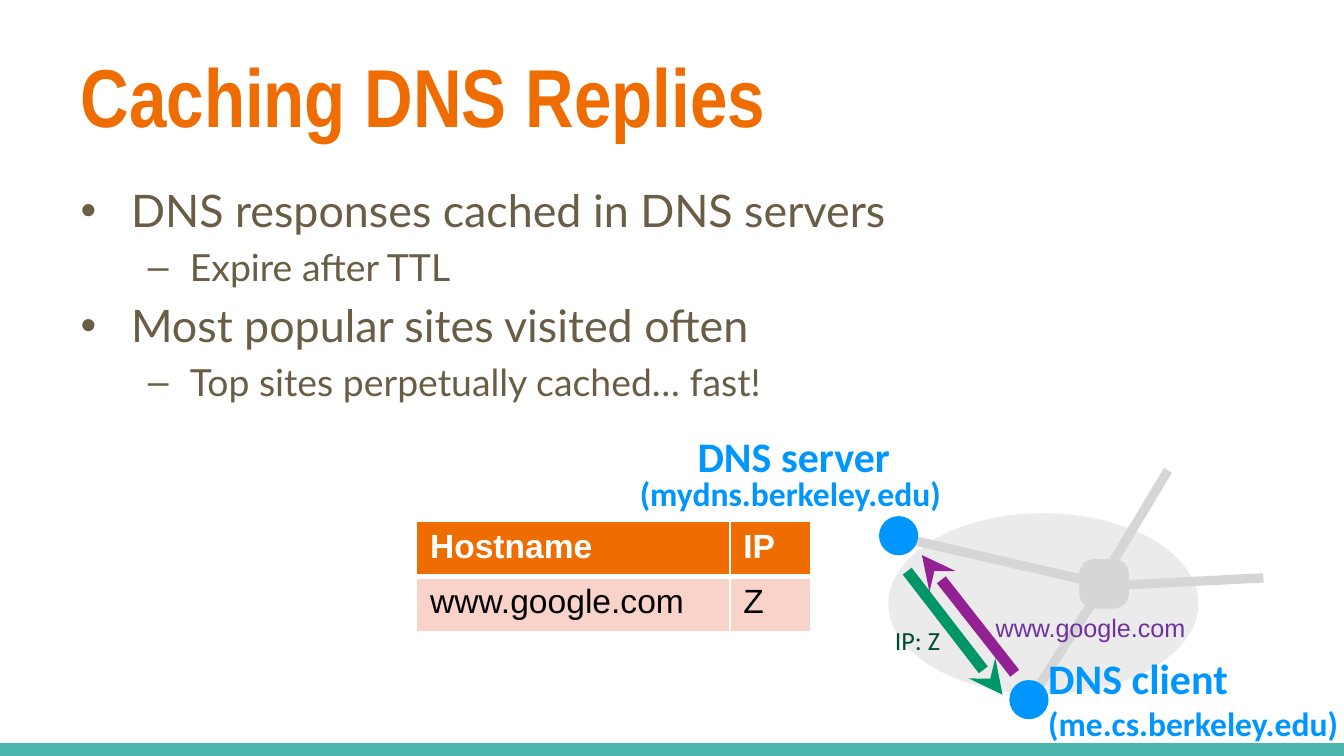
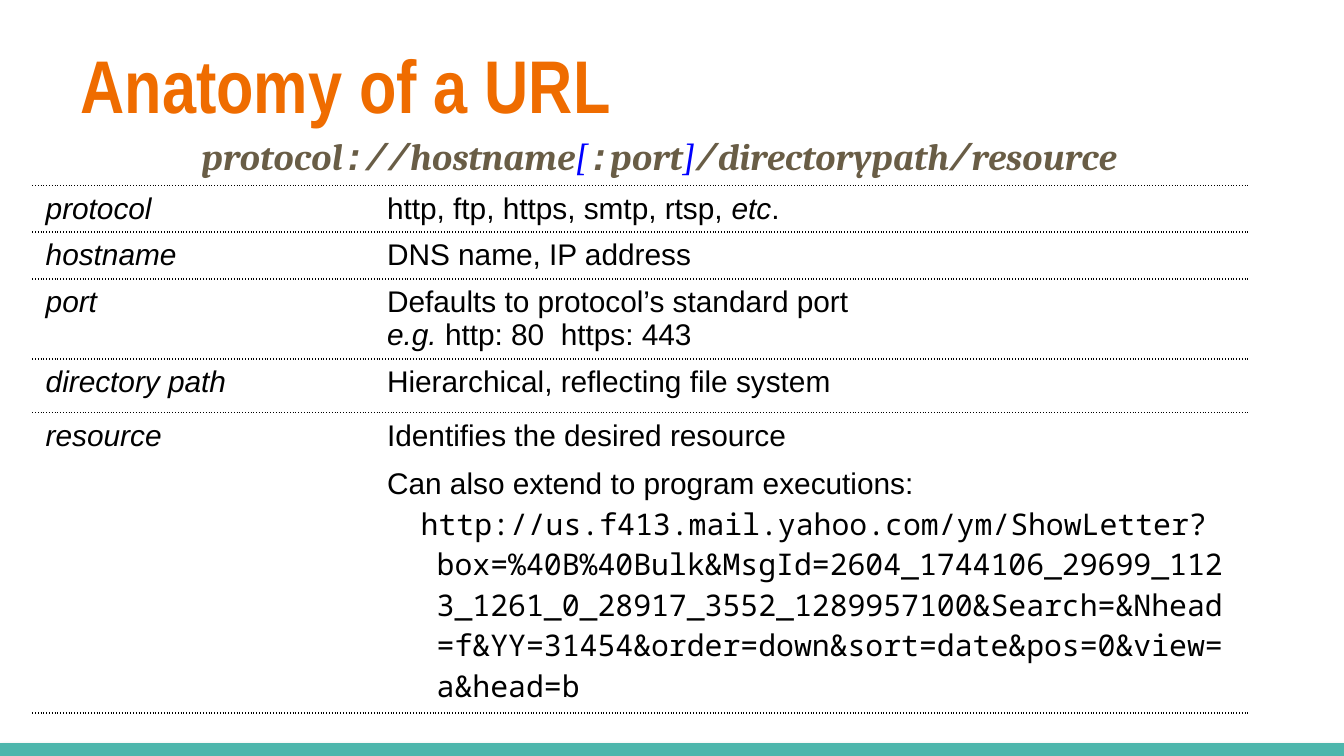
from dataclasses import dataclass
from typing import NamedTuple

from lxml.etree import SubElement
from pptx import Presentation
from pptx.dml.color import RGBColor
from pptx.enum.shapes import MSO_CONNECTOR as Connector, MSO_SHAPE as Shape
from pptx.enum.text import MSO_ANCHOR as Anchor, MSO_AUTO_SIZE as AutoSize, PP_ALIGN as Align
from pptx.oxml.ns import qn
from pptx.util import Pt


@dataclass(frozen=True)
class Theme:
    orange: str = "EF6C00"
    brown: str = "695D46"
    teal: str = "4DB6AC"
    node: str = "0096FF"
    cloud: str = "EBEBEB"
    link: str = "D6D6D6"
    query: str = "942193"
    query_text: str = "7030A0"
    reply: str = "009668"
    reply_text: str = "004B34"
    pink: str = "F9D3CA"
    optional: str = "0000FF"
    black: str = "000000"
    white: str = "FFFFFF"
    title_face: str = "Arial Narrow"
    body_face: str = "Lato"
    label_face: str = "Calibri"
    table_face: str = "Arial"
    code_face: str = "Noto Sans Mono"
    syntax_face: str = "Cambria"
    mark_face: str = "Courier New"
    body_sizes: tuple = (24, 20)
    node_size: float = 22.5
    host_size: float = 18
    reply_size: float = 14
    query_size: float = 13.5
    cache_size: float = 18
    parts_size: float = 16
    syntax_size: float = 20


class Box(NamedTuple):
    left: float
    top: float
    width: float
    height: float

    def inner(self, left, top, width, height):
        return Box(self.left + left, self.top + top, width, height)

    def points(self):
        return [Pt(length) for length in self]


THEME = Theme()
PAGE = Box(0, 0, 720, 405)
WIDE_INSETS = (7.2, 3.6)
TIGHT_INSETS = (2.16, 2.16)


def rgb(color):
    return RGBColor.from_string(color)


def add_span(para, text, face, size, color, bold=False, italic=False):
    """Add one run; a newline in its text becomes a line break."""
    for index, line in enumerate(text.split("\n")):
        if index:
            para.add_line_break()
        if line:
            span = para.add_run()
            span.text = line
            font = span.font
            font.name, font.size = face, Pt(size)
            font.bold, font.italic = bold, italic
            font.color.rgb = rgb(color)


def set_frame(frame, anchor=Anchor.TOP, insets=WIDE_INSETS, wrap=True):
    frame.auto_size = AutoSize.NONE
    frame.word_wrap = wrap
    frame.vertical_anchor = anchor
    frame.margin_left = frame.margin_right = Pt(insets[0])
    frame.margin_top = frame.margin_bottom = Pt(insets[1])


def place(shape, box):
    shape.left, shape.top, shape.width, shape.height = box.points()


def set_indent(para, margin, hanging):
    props = para._p.get_or_add_pPr()
    props.set("marL", str(Pt(margin)))
    props.set("indent", str(-Pt(hanging)))
    return props


def add_label(page, box, spans, anchor=Anchor.TOP, insets=WIDE_INSETS, wrap=True):
    frame = page.shapes.add_textbox(*box.points()).text_frame
    set_frame(frame, anchor, insets, wrap)
    para = frame.paragraphs[0]
    for span in spans:
        add_span(para, *span)
    return para


def add_line(page, start, end, color, width, arrow=False):
    ends = [Pt(length) for length in (*start, *end)]
    line = page.shapes.add_connector(Connector.STRAIGHT, *ends)
    line.line.color.rgb = rgb(color)
    line.line.width = Pt(width)
    props = line.element.spPr
    if arrow:
        SubElement(props.find(qn("a:ln")), qn("a:headEnd"), type="stealth")
    SubElement(props, qn("a:effectLst"))
    return line


def add_solid(page, kind, box, color):
    shape = page.shapes.add_shape(kind, *box.points())
    shape.shadow.inherit = False
    shape.fill.solid()
    shape.fill.fore_color.rgb = rgb(color)
    shape.line.fill.background()
    return shape


def add_master_band(deck, page):
    """Draw the bottom band and move it to the master, so every slide has it."""
    band = add_line(page, (0, 403.2), (PAGE.width, 403.2), THEME.teal, 10)
    effects = band.element.spPr.find(qn("a:effectLst"))
    shadow = SubElement(effects, qn("a:outerShdw"), blurRad=str(Pt(3.1)),
                        dist=str(Pt(1.6)), dir="5400000", rotWithShape="0")
    color = SubElement(shadow, qn("a:srgbClr"), val=THEME.black)
    SubElement(color, qn("a:alpha"), val="38000")
    band.element.xpath("p:nvCxnSpPr/p:cNvPr")[0].set("id", "90")
    deck.slide_master.shapes.element.append(band.element)


def set_title(page, box, text, size):
    title = page.shapes.title
    place(title, box)
    set_frame(title.text_frame, Anchor.MIDDLE)
    para = title.text_frame.paragraphs[0]
    para.alignment = Align.LEFT
    add_span(para, text, THEME.title_face, size, THEME.orange, bold=True)


def set_bullets(page, box, items):
    body = page.placeholders[1]
    place(body, box)
    frame = body.text_frame
    set_frame(frame)
    styles = (("•", 27, 27, 4.8), ("–", 58.5, 22.5, 4))
    for index, (level, text) in enumerate(items):
        mark, margin, hanging, gap = styles[level]
        para = frame.add_paragraph() if index else frame.paragraphs[0]
        para.level = level
        props = set_indent(para, margin, hanging)
        SubElement(SubElement(props, qn("a:buClr")), qn("a:srgbClr"), val=THEME.brown)
        SubElement(props, qn("a:buFont"), typeface="Arial")
        SubElement(props, qn("a:buChar"), char=mark)
        para.space_before = Pt(gap if index else 0)
        add_span(para, text, THEME.body_face, THEME.body_sizes[level], THEME.brown)


def add_grid(page, left, top, columns, rows):
    """Add a plain table with the given column widths and row heights."""
    box = Box(left, top, sum(columns), sum(rows))
    table = page.shapes.add_table(len(rows), len(columns), *box.points()).table
    table.first_row = table.horz_banding = False
    for column, width in zip(table.columns, columns):
        column.width = Pt(width)
    for row, height in zip(table.rows, rows):
        row.height = Pt(height)
    return table


def set_border(cell, sides, color=None, width=1, dash="solid"):
    for side in sides:
        line = SubElement(cell._tc.get_or_add_tcPr(), qn(f"a:ln{side}"), w=str(Pt(width)))
        if color:
            SubElement(SubElement(line, qn("a:solidFill")), qn("a:srgbClr"), val=color)
            SubElement(line, qn("a:prstDash"), val=dash)
        else:
            SubElement(line, qn("a:noFill"))


def add_cache_table(page, left, top):
    rows = (("Hostname", "IP"), ("www.google.com", "Z"))
    looks = ((THEME.orange, THEME.white, True, 3), (THEME.pink, THEME.black, False, 1))
    table = add_grid(page, left, top, (167.8, 43.2), (29.5, 29.5))
    for row, texts, (fill, color, bold, rule) in zip(table.rows, rows, looks):
        for cell, text in zip(row.cells, texts):
            set_border(cell, "LR", THEME.white)
            set_border(cell, "T", THEME.white, 1 if bold else 3)
            set_border(cell, "B", THEME.white, rule)
            cell.fill.solid()
            cell.fill.fore_color.rgb = rgb(fill)
            add_span(cell.text_frame.paragraphs[0], text, THEME.table_face,
                     THEME.cache_size, color, bold)


def add_network(page, box):
    """Draw the cloud, its router and links, and the client's exchange with the server."""
    def at(x, y):
        return box.left + x, box.top + y

    add_solid(page, Shape.OVAL, box.inner(136, 51, 166, 97), THEME.cloud)
    links = (((139.5, 63.3), (249, 88.5)), ((250.4, 90.6), (213, 149)),
             ((285.7, 28), (251.1, 85.6)), ((336.8, 85.6), (251.8, 89.9)))
    for start, end in links:
        add_line(page, at(*start), at(*end), THEME.link, 5)
    router = add_solid(page, Shape.ROUNDED_RECTANGLE,
                       box.inner(238.2, 75.5, 26.6, 26.6), THEME.link)
    router.adjustments[0] = 0.3
    for x, y in ((130.9, 52.5), (200.7, 140.3)):
        add_solid(page, Shape.OVAL, box.inner(x, y, 21, 21), THEME.node)
    add_line(page, at(153.9, 73.4), at(203.6, 136.7), THEME.query, 6, arrow=True)
    add_line(page, at(197.1, 148.2), at(146, 82), THEME.reply, 6, arrow=True)

    def node_span(text, size):
        return text, THEME.label_face, size, THEME.node, True

    node_labels = (
        ((31.5, 4.2, 109.4, 31.7), [node_span("DNS server", THEME.node_size)]),
        ((0.6, 27.3, 207.4, 25.9), [node_span("(mydns.berkeley.edu)", THEME.host_size)]),
        ((219.4, 123, 160, 53.3), [node_span("DNS client\n", THEME.node_size),
                                   node_span("(me.cs.berkeley.edu)", THEME.host_size)]))
    for area, spans in node_labels:
        add_label(page, box.inner(*area), spans, Anchor.MIDDLE, TIGHT_INSETS, wrap=False)
    add_label(page, box.inner(132.3, 107.2, 118, 24.5),
              [("IP: Z", THEME.label_face, THEME.reply_size, THEME.reply_text)])
    add_label(page, box.inner(186.3, 100.7, 193, 23.8),
              [("www.google.com", THEME.table_face, THEME.query_size, THEME.query_text)])


def add_syntax(page, box):
    """Write the URL pattern: names in serif, punctuation in mono, brackets in blue."""
    names = (THEME.syntax_face, THEME.syntax_size, THEME.brown, True, True)
    marks = (THEME.mark_face, *names[1:])
    brackets = (THEME.syntax_face, THEME.syntax_size, THEME.optional, False, True)
    parts = (("protocol", names), ("://", marks), ("hostname", names), ("[", brackets),
             (":", marks), ("port", names), ("]", brackets), ("/", marks),
             ("directorypath", names), ("/", marks), ("resource", names))
    para = add_label(page, box, [(text, *style) for text, style in parts])
    para.alignment = Align.CENTER
    set_indent(para, 27, 36.7)


def add_parts_table(page, left, top):
    code = ("http://us.f413.mail.yahoo.com/ym/ShowLetter?box=%40B%40Bulk&MsgId="
            "2604_1744106_29699_1123_1261_0_28917_3552_1289957100&Search=&Nhead=f"
            "&YY=31454&order=down&sort=date&pos=0&view=a&head=b")
    parts = (
        ("protocol", [("http, ftp, https, smtp, rtsp, ", False), ("etc", True), (".", False)]),
        ("hostname", [("DNS name, IP address", False)]),
        ("port", [("Defaults to protocol’s standard port\n", False), ("e.g.", True),
                  (" http: 80  https: 443", False)]),
        ("directory path", [("Hierarchical, reflecting file system", False)]),
        ("resource", [("Identifies the desired resource", False)]))
    table = add_grid(page, left, top, (182.9, 469.4), (24.5, 24.5, 42.5, 28.8, 143.3))
    for row, (name, meaning) in zip(table.rows, parts):
        for cell, spans in zip(row.cells, ([(name, True)], meaning)):
            set_border(cell, "LR")
            set_border(cell, "TB", THEME.black, dash="dot")
            cell.fill.background()
            for text, italic in spans:
                add_span(cell.text_frame.paragraphs[0], text, THEME.table_face,
                         THEME.parts_size, THEME.black, italic=italic)
    frame = table.cell(len(parts) - 1, 1).text_frame
    para = frame.add_paragraph()
    para.space_before = Pt(8)
    add_span(para, "Can also extend to program executions:", THEME.table_face,
             THEME.parts_size, THEME.black)
    para = frame.add_paragraph()
    para.level = 1
    para.space_before = Pt(1.6)
    set_indent(para, 26.6, 8.6)
    add_span(para, code, THEME.code_face, THEME.parts_size, THEME.black)


def build_caching_slide(page):
    set_title(page, Box(36, 16.6, 648, 67.7), "Caching DNS Replies", 44)
    set_bullets(page, Box(36, 94.3, 648, 267), (
        (0, "DNS responses cached in DNS servers"),
        (1, "Expire after TTL"),
        (0, "Most popular sites visited often"),
        (1, "Top sites perpetually cached… fast!")))
    add_network(page, Box(340, 224, 380, 177))
    add_cache_table(page, 223.2, 279.4)


def build_url_slide(page):
    set_title(page, Box(36, 10.8, 648, 67.7), "Anatomy of a URL", 40)
    add_parts_table(page, 17.3, 99.4)
    add_syntax(page, Box(17.3, 67.7, 671.8, 32))


def main():
    deck = Presentation()
    deck.slide_width, deck.slide_height = Pt(PAGE.width), Pt(PAGE.height)
    caching = deck.slides.add_slide(deck.slide_layouts[1])
    add_master_band(deck, caching)
    build_caching_slide(caching)
    build_url_slide(deck.slides.add_slide(deck.slide_layouts[5]))
    deck.save("out.pptx")


if __name__ == "__main__":
    main()
